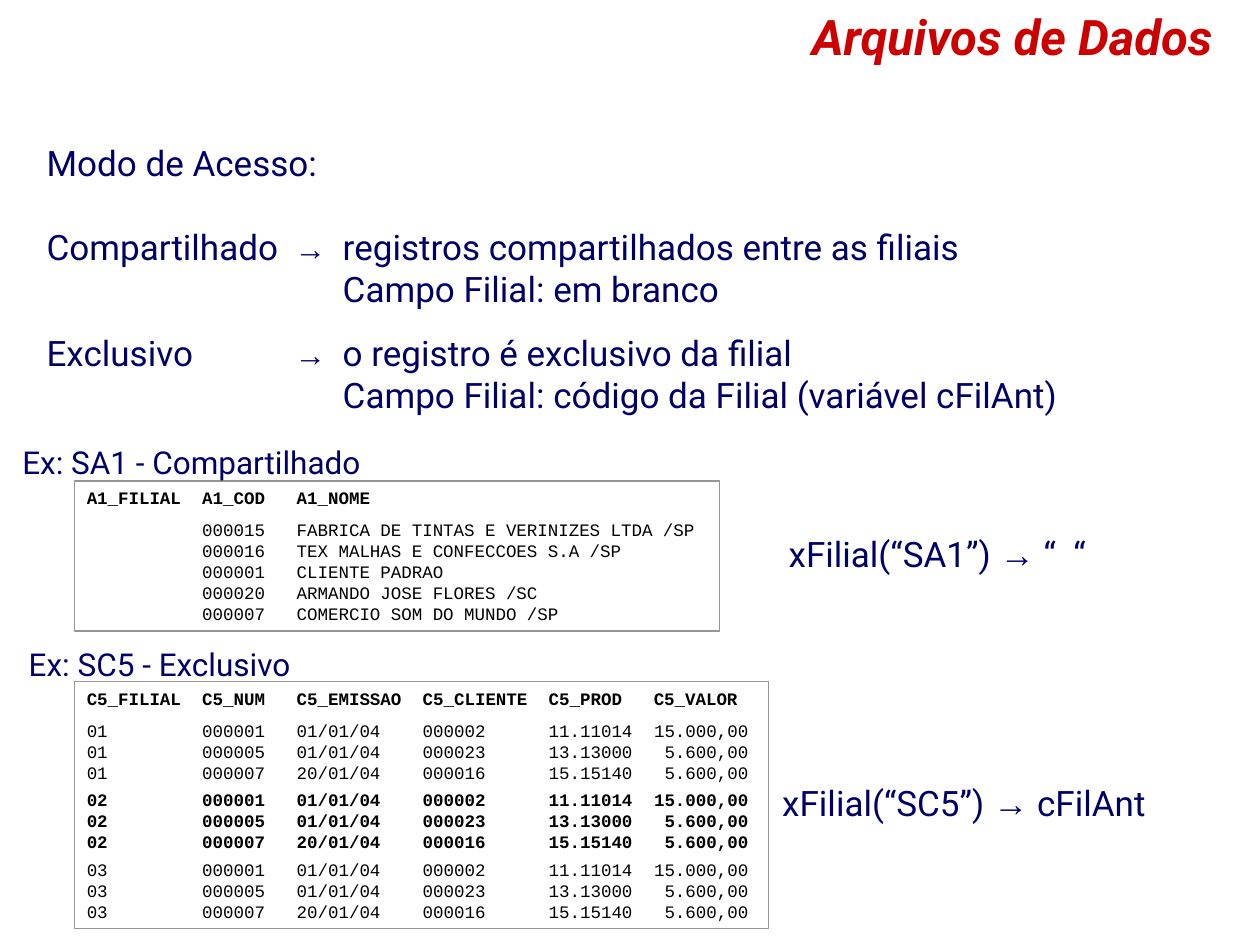
from dataclasses import dataclass

from lxml import etree
from pptx import Presentation
from pptx import util as u
from pptx.dml.color import RGBColor
from pptx.enum import shapes, text
from pptx.oxml import ns


@dataclass(frozen=True)
class Theme:
    red: str = "CC0000"
    navy: str = "000066"
    black: str = "000000"
    white: str = "FFFFFF"
    gray: str = "969696"
    sans: str = "Roboto"
    arrow: str = "Arial"
    mono: str = "Courier New"
    title: int = 28
    body: int = 20
    label: int = 18
    record: int = 10
    character: float = 2.54 / 12


class SlideBuilder:
    def __init__(self, slide, theme):
        self.slide = slide
        self.theme = theme

    def frame(self, shape):
        frame = shape.text_frame
        frame.word_wrap = True
        frame.vertical_anchor = text.MSO_ANCHOR.TOP
        return frame

    def text_box(self, area):
        return self.frame(self.slide.shapes.add_textbox(*map(u.Cm, area)))

    def paragraph(self, frame, stops=(), before=0, align=text.PP_ALIGN.LEFT):
        first = frame.paragraphs[0]
        paragraph = frame.add_paragraph() if first.runs else first
        if stops:
            properties = paragraph._p.get_or_add_pPr()
            tabs = etree.SubElement(properties, ns.qn("a:tabLst"))
            for position, side in stops:
                etree.SubElement(tabs, ns.qn("a:tab"), pos=str(u.Cm(position)), algn=side)
        paragraph.alignment = align
        if before:
            paragraph.space_before = u.Pt(before)
        return paragraph

    def run(self, paragraph, words, size, color, font, bold=False, italic=False):
        run = paragraph.add_run()
        run.text = words
        run.font.size = u.Pt(size)
        run.font.name = font
        run.font.bold = bold
        run.font.italic = italic
        run.font.color.rgb = RGBColor.from_string(color)

    def title(self, area, words):
        theme = self.theme
        paragraph = self.paragraph(self.text_box(area), align=text.PP_ALIGN.RIGHT)
        self.run(paragraph, words, theme.title, theme.red, theme.sans, True, True)

    def sentence(self, paragraph, words, size, arrow_size):
        theme = self.theme
        before, arrow, after = words.partition("→")
        self.run(paragraph, before, size, theme.navy, theme.sans)
        if arrow:
            self.run(paragraph, arrow, arrow_size, theme.navy, theme.arrow)
            self.run(paragraph, after, size, theme.navy, theme.sans)

    def body(self, area, lines, stops):
        frame = self.text_box(area)
        for words, before in lines:
            paragraph = self.paragraph(frame, stops, before)
            self.sentence(paragraph, words, self.theme.body, self.theme.label)

    def label(self, area, words, size):
        self.sentence(self.paragraph(self.text_box(area)), words, size, size)

    def records(self, area, header, groups, columns, right_column=None):
        theme = self.theme
        shape = self.slide.shapes.add_shape(shapes.MSO_SHAPE.RECTANGLE, *map(u.Cm, area))
        shape.shadow.inherit = False
        shape.fill.solid()
        shape.fill.fore_color.rgb = RGBColor.from_string(theme.white)
        shape.line.color.rgb = RGBColor.from_string(theme.gray)
        shape.line.width = u.Pt(0.75)
        frame = self.frame(shape)
        header_stops = [(column * theme.character, "l") for column in columns]
        row_stops = header_stops
        if right_column:
            row_stops = header_stops[:-1] + [(right_column * theme.character, "r")]

        def line(cells, stops, before, bold):
            paragraph = self.paragraph(frame, stops, before)
            self.run(paragraph, "\t".join(cells), theme.record, theme.black, theme.mono, bold)

        line(header, header_stops, 0, True)
        for number, (rows, bold) in enumerate(groups):
            gap = 3.7 if number else 6.2
            for index, cells in enumerate(rows):
                line(cells, row_stops, 0 if index else gap, bold)


def main():
    presentation = Presentation()
    presentation.slide_width = u.Cm(25.4)
    presentation.slide_height = u.Cm(19.05)
    theme = Theme()
    builder = SlideBuilder(presentation.slides.add_slide(presentation.slide_layouts[6]), theme)

    builder.title((0.69, 0, 24, 1.45), "Arquivos de Dados")
    builder.body((0.69, 2.72, 24, 5.79), [
        ("Modo de Acesso:", 0),
        ("Compartilhado\t→\tregistros compartilhados entre as filiais", 24),
        ("\t\tCampo Filial: em branco", 0),
        ("Exclusivo\t→\to registro é exclusivo da filial", 12.5),
        ("\t\tCampo Filial: código da Filial (variável cFilAnt)", 0),
    ], [(5, "l"), (5.97, "l")])

    orders = [
        ("000001", "01/01/04", "000002", "11.11014", "15.000,00"),
        ("000005", "01/01/04", "000023", "13.13000", "5.600,00"),
        ("000007", "20/01/04", "000016", "15.15140", "5.600,00"),
    ]
    branches = [([(branch, *order) for order in orders], branch == "02")
                for branch in ("01", "02", "03")]
    builder.records(
        (1.5, 13.74, 14, 4.98),
        ("C5_FILIAL", "C5_NUM", "C5_EMISSAO", "C5_CLIENTE", "C5_PROD", "C5_VALOR"),
        branches, (11, 20, 32, 44, 54), 63)

    customers = [
        ("", "000015", "FABRICA DE TINTAS E VERINIZES LTDA /SP"),
        ("", "000016", "TEX MALHAS E CONFECCOES S.A /SP"),
        ("", "000001", "CLIENTE PADRAO"),
        ("", "000020", "ARMANDO JOSE FLORES /SC"),
        ("", "000007", "COMERCIO SOM DO MUNDO /SP"),
    ]
    builder.records((1.5, 9.7, 13, 3.02), ("A1_FILIAL", "A1_COD", "A1_NOME"),
                    [(customers, False)], (11, 20))

    builder.label((15.65, 10.62, 8.41, 1.12), "xFilial(“SA1”) → “  “", theme.body)
    builder.label((15.52, 15.62, 9.73, 1.12), "xFilial(“SC5”) → cFilAnt", theme.body)
    builder.label((0.2, 8.81, 9.55, 1.02), "Ex: SA1 - Compartilhado", theme.label)
    builder.label((0.33, 12.88, 7.8, 1.02), "Ex: SC5 - Exclusivo", theme.label)

    presentation.save("out.pptx")


if __name__ == "__main__":
    main()
